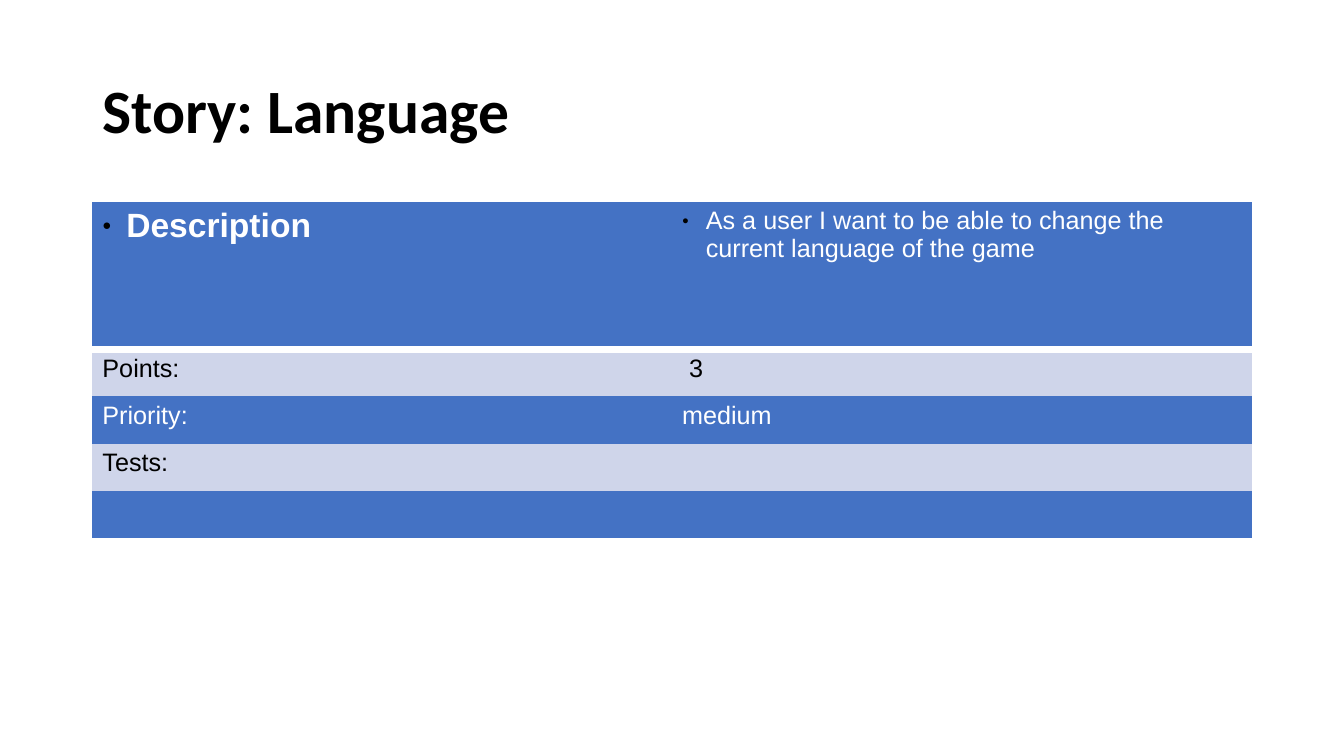
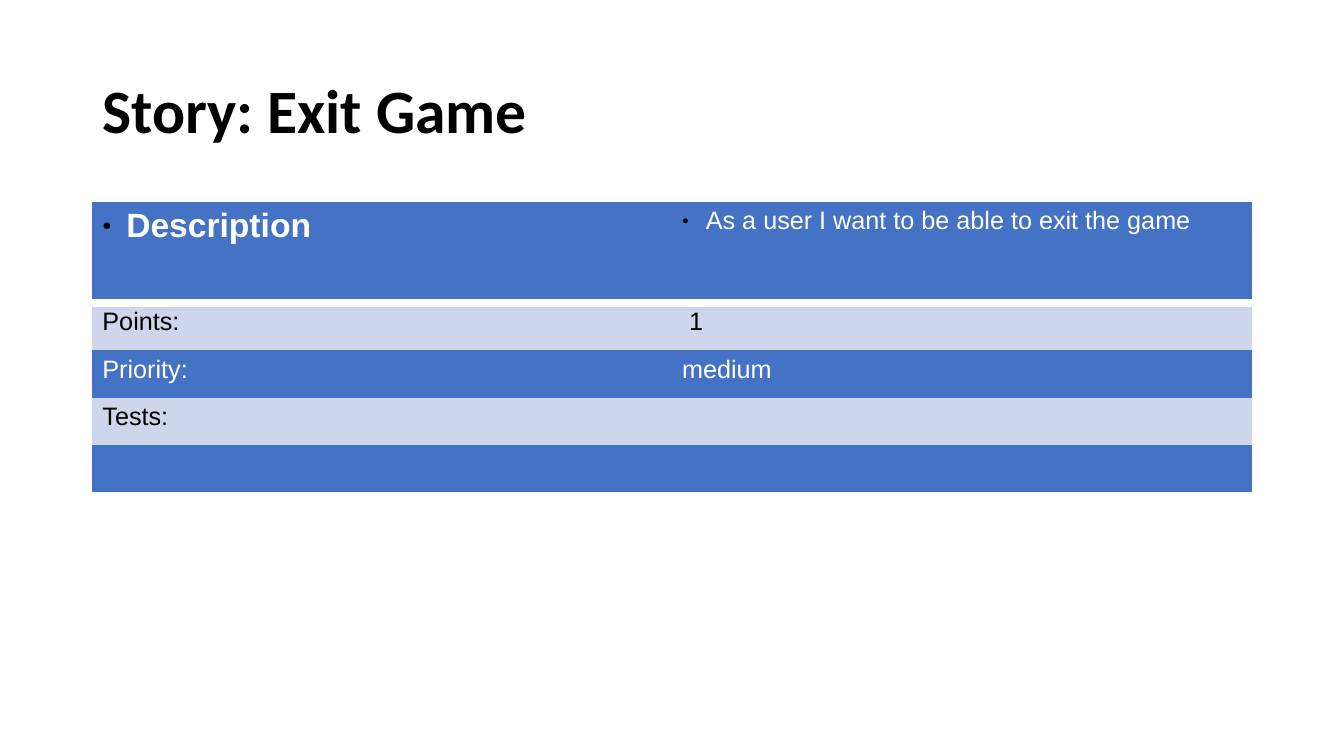
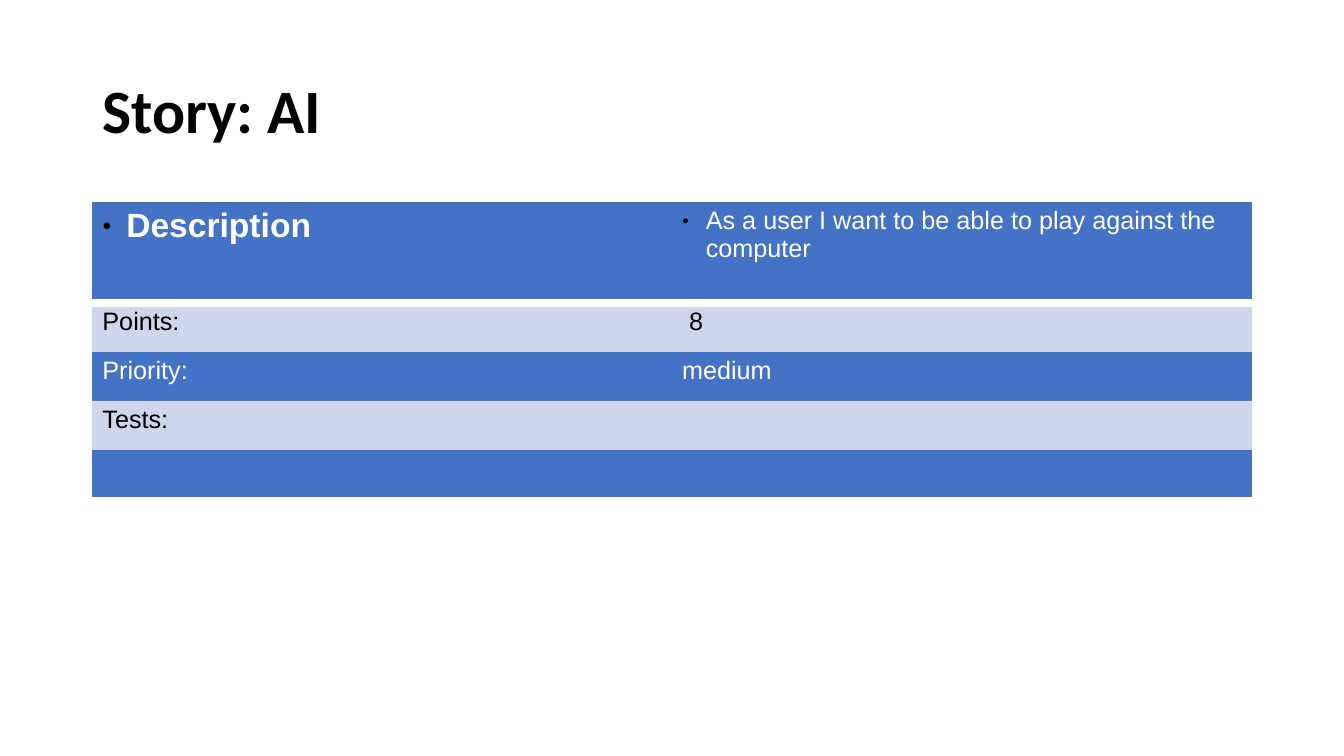
import pptx
import pptx.util
import pptx.dml.color
import pptx.enum.text
import pptx.oxml
import pptx.oxml.ns

Pt = pptx.util.Pt
COLOURS = {"black": "000000", "white": "FFFFFF", "blue": "4472C4", "pale": "CFD5EA"}
NO_GRID_STYLE = "{2D5ABB26-0587-4C30-8999-92F81FD0307C}"
NAMESPACE = pptx.oxml.ns.nsdecls("a")
BULLET = [
    f'<a:buClr {NAMESPACE}><a:srgbClr val="{COLOURS["black"]}"/></a:buClr>',
    f'<a:buSzPct {NAMESPACE} val="45000"/>',
    f'<a:buFont {NAMESPACE} typeface="Arial"/>',
    f'<a:buChar {NAMESPACE} char="●"/>',
]
HEADER_RULE = (
    f'<a:lnB {NAMESPACE} w="{Pt(6)}"><a:solidFill>'
    f'<a:srgbClr val="{COLOURS["white"]}"/></a:solidFill></a:lnB>'
)
MARGIN, CONTENT_WIDTH = 66, 828
STORIES = [
    ("Language", "As a user I want to be able to change the current language of the game",
     " 3", [105.5, 33.75, 33.75, 33.75, 33.75]),
    ("Exit Game", "As a user I want to be able to exit the game",
     " 1", [72.5, 33.75, 33.75, 33.75, 33.75]),
    ("AI", "As a user I want to be able to play against the computer",
     " 8", [72.5, 35, 35, 35, 33.75]),
]


def write(frame, text, size=18, font="Arial", colour="black", bold=False, bullet=False, spacing=None):
    paragraph = frame.paragraphs[0]
    paragraph.alignment = pptx.enum.text.PP_ALIGN.LEFT
    paragraph.line_spacing = spacing
    run = paragraph.add_run()
    run.text = text
    run.font.size = Pt(size)
    run.font.name = font
    run.font.bold = bold
    run.font.color.rgb = pptx.dml.color.RGBColor.from_string(COLOURS[colour])
    if bullet:
        properties = paragraph._p.get_or_add_pPr()
        properties.set("marL", str(Pt(17)))
        properties.set("indent", str(Pt(-17)))
        for part in BULLET:
            properties.append(pptx.oxml.parse_xml(part))


deck = pptx.Presentation()
deck.slide_width, deck.slide_height = Pt(960), Pt(540)
story_layout = deck.slide_layouts[5]
layout_title = story_layout.placeholders[0]
layout_title.left, layout_title.top = Pt(MARGIN), Pt(28.75)
layout_title.width, layout_title.height = Pt(CONTENT_WIDTH), Pt(104.4)
layout_title.text_frame.vertical_anchor = pptx.enum.text.MSO_ANCHOR.MIDDLE

for name, description, points, heights in STORIES:
    slide = deck.slides.add_slide(story_layout)
    write(slide.shapes.title.text_frame, f"Story: {name}", size=44, font="Calibri", bold=True, spacing=0.9)

    card = slide.shapes.add_table(
        len(heights), 2, Pt(MARGIN), Pt(144), Pt(CONTENT_WIDTH), Pt(sum(heights)))
    card.element.find(".//" + pptx.oxml.ns.qn("a:tableStyleId")).text = NO_GRID_STYLE
    entries = [
        ("Description", description),
        ("Points:", points),
        ("Priority:", "medium"),
        ("Tests:", ""),
        ("", ""),
    ]
    for row, (height, entry) in enumerate(zip(heights, entries)):
        card.table.rows[row].height = Pt(height)
        header = row == 0
        fill, ink = ("pale", "black") if row % 2 else ("blue", "white")
        for column, text in enumerate(entry):
            cell = card.table.cell(row, column)
            cell.fill.solid()
            cell.fill.fore_color.rgb = pptx.dml.color.RGBColor.from_string(COLOURS[fill])
            if header:
                cell._tc.get_or_add_tcPr().insert(0, pptx.oxml.parse_xml(HEADER_RULE))
            if text:
                label = header and column == 0
                write(cell.text_frame, text, size=24 if label else 18,
                      colour=ink, bold=label, bullet=header)

deck.save("out.pptx")
